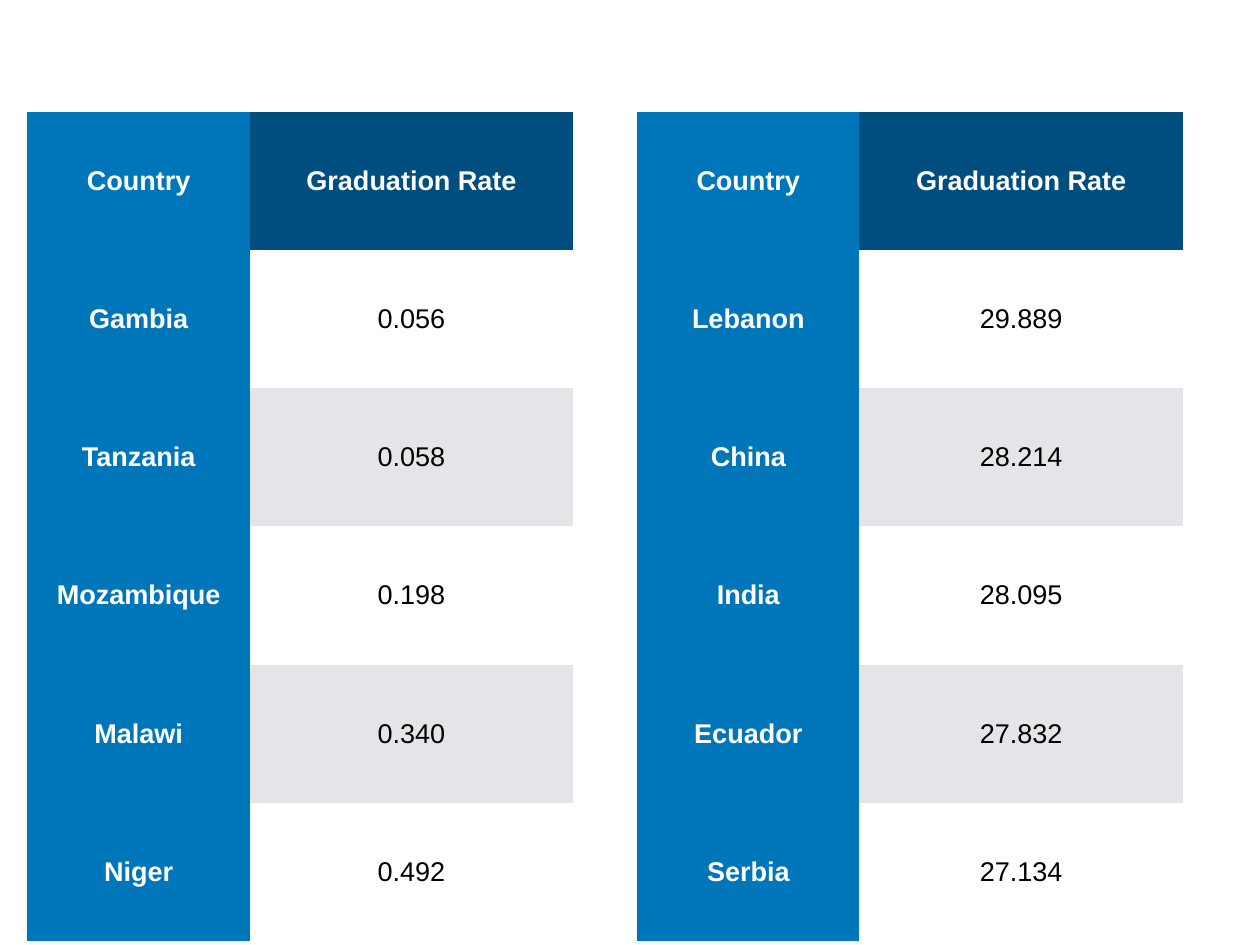
from lxml.etree import SubElement
from pptx import Presentation
from pptx.dml.color import RGBColor
from pptx.enum.text import MSO_ANCHOR, PP_ALIGN
from pptx.oxml.ns import qn
from pptx.util import Inches, Pt

BLUE = RGBColor(0x00, 0x76, 0xBA)
NAVY = RGBColor(0x00, 0x4D, 0x80)
GREY = RGBColor(0xE3, 0xE5, 0xE8)
WHITE = RGBColor(0xFF, 0xFF, 0xFF)
BLACK = RGBColor(0x00, 0x00, 0x00)

HEADER = ("Country", "Graduation Rate")
LOWEST_RATES = [
    HEADER,
    ("Gambia", "0.056"),
    ("Tanzania", "0.058"),
    ("Mozambique", "0.198"),
    ("Malawi", "0.340"),
    ("Niger", "0.492"),
]
HIGHER_RATES = [
    HEADER,
    ("Lebanon", "29.889"),
    ("China", "28.214"),
    ("India", "28.095"),
    ("Ecuador", "27.832"),
    ("Serbia", "27.134"),
]
COLUMN_WIDTHS = (Inches(2.51), Inches(3.65))
TABLE_HEIGHT = Inches(9.37)
CELL_FORMAT = {
    "vertical_anchor": MSO_ANCHOR.MIDDLE,
    "margin_left": Inches(0.06),
    "margin_right": Inches(0.06),
    "margin_top": Inches(0.06),
    "margin_bottom": Inches(0.06),
}


def fill_cell(cell, text, fill, color, bold):
    for name, value in CELL_FORMAT.items():
        setattr(cell, name, value)
    # Borderless edges come before the fill in the cell properties
    properties = cell._tc.get_or_add_tcPr()
    for edge in ("a:lnL", "a:lnR", "a:lnT", "a:lnB"):
        line = SubElement(properties, qn(edge), w="0")
        SubElement(line, qn("a:noFill"))
    cell.fill.solid()
    cell.fill.fore_color.rgb = fill
    para = cell.text_frame.paragraphs[0]
    para.alignment = PP_ALIGN.CENTER
    span = para.add_run()
    span.text = text
    for name, value in {"name": "Arial", "size": Pt(22), "bold": bold}.items():
        setattr(span.font, name, value)
    span.font.color.rgb = color


deck = Presentation()
deck.slide_width = Inches(14.22)
deck.slide_height = Inches(10.67)
page = deck.slides.add_slide(deck.slide_layouts[6])

# Two tables side by side
for left, rates in ((0.31, LOWEST_RATES), (7.19, HIGHER_RATES)):
    frame = page.shapes.add_table(
        len(rates), len(HEADER), Inches(left), Inches(1.26), sum(COLUMN_WIDTHS), TABLE_HEIGHT
    )
    table = frame.table
    table.first_col = True
    table.horz_banding = False
    for column, width in zip(table.columns, COLUMN_WIDTHS):
        column.width = width

    # Blue country column, navy heading, banded rates
    for index, (country, rate) in enumerate(rates):
        fill_cell(table.cell(index, 0), country, BLUE, WHITE, True)
        if index == 0:
            fill_cell(table.cell(index, 1), rate, NAVY, WHITE, True)
        else:
            band = WHITE if index % 2 else GREY
            fill_cell(table.cell(index, 1), rate, band, BLACK, False)

deck.save("out.pptx")
